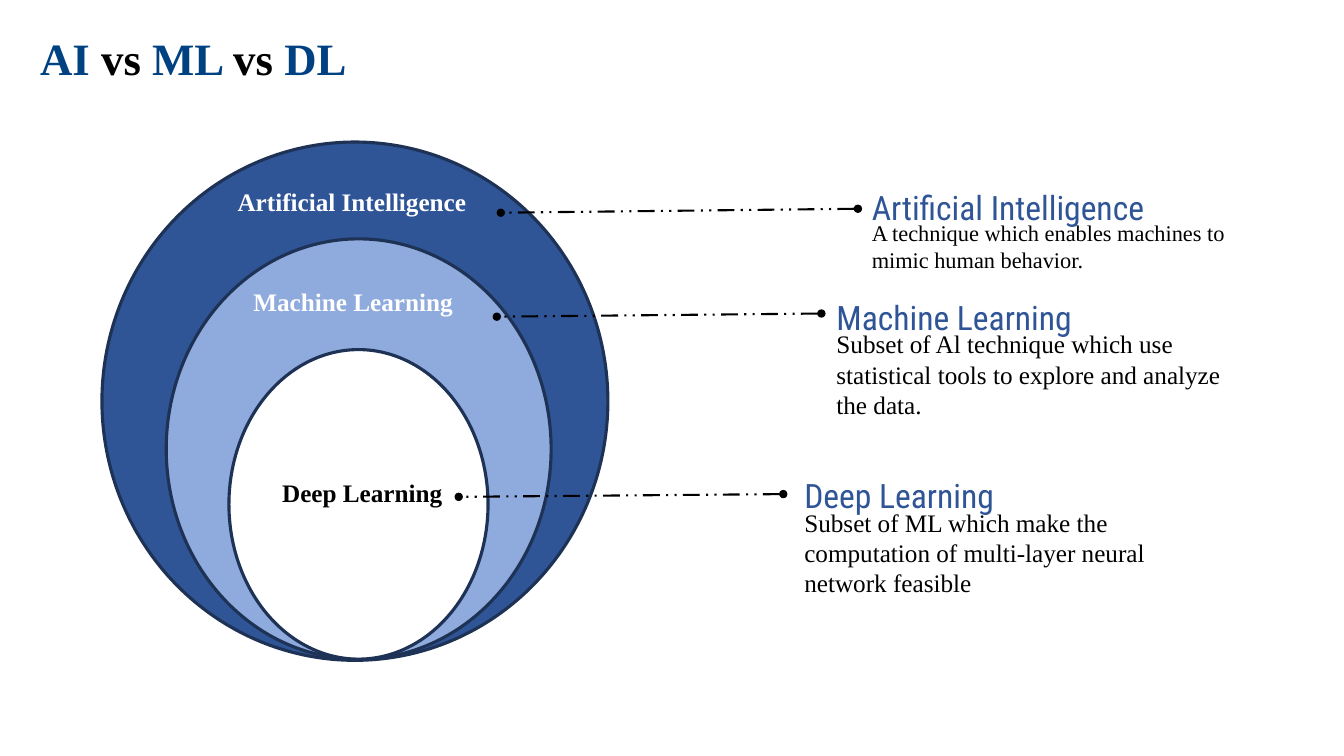
import pptx
import pptx.util
import pptx.dml.color
import pptx.enum.dml
import pptx.enum.shapes
import pptx.enum.text
from lxml import etree
from pptx.oxml.ns import qn

Cm, Pt = pptx.util.Cm, pptx.util.Pt
RGBColor = pptx.dml.color.RGBColor
ALIGN = pptx.enum.text.PP_ALIGN
ANCHOR = pptx.enum.text.MSO_ANCHOR

TITLE_BLUE = RGBColor(0x00, 0x41, 0x82)
DEEP_BLUE = RGBColor(0x2F, 0x55, 0x97)
LIGHT_BLUE = RGBColor(0x8F, 0xAA, 0xDC)
OUTLINE = RGBColor(0x1E, 0x32, 0x56)
BLACK = RGBColor(0x00, 0x00, 0x00)
WHITE = RGBColor(0xFF, 0xFF, 0xFF)

SERIF = "Times New Roman"
CONDENSED = "Roboto Condensed"


def apply(target, formats):
    for attribute, value in formats.items():
        setattr(target, attribute, value)


class DiagramSlide:
    outline = {"width": Pt(2.25)}
    leader = {"width": Pt(1.5), "dash_style": pptx.enum.dml.MSO_LINE.DASH_DOT_DOT}
    label_font = {"name": SERIF, "size": Pt(18), "bold": True}
    heading_font = {"name": CONDENSED, "size": Pt(24)}
    heading_frame = {"vertical_anchor": ANCHOR.MIDDLE,
                     "margin_top": Cm(0.25), "margin_bottom": Cm(0.25)}

    def __init__(self, slide):
        self.shapes = slide.shapes

    def text(self, box, runs, font, align=ALIGN.LEFT, frame_format=None):
        frame = self.shapes.add_textbox(*map(Cm, box)).text_frame
        apply(frame, {"word_wrap": True, **(frame_format or {})})
        paragraph = frame.paragraphs[0]
        paragraph.alignment = align
        for wording, color in runs:
            run = paragraph.add_run()
            run.text = wording
            apply(run.font, font)
            run.font.color.rgb = color

    def ring(self, box, color):
        oval = self.shapes.add_shape(
            pptx.enum.shapes.MSO_SHAPE.OVAL, *map(Cm, box))
        oval.shadow.inherit = False
        oval.fill.solid()
        oval.fill.fore_color.rgb = color
        oval.line.color.rgb = OUTLINE
        apply(oval.line, self.outline)

    def dotted_leader(self, ends):
        leader = self.shapes.add_connector(
            pptx.enum.shapes.MSO_CONNECTOR.STRAIGHT, *map(Cm, ends))
        leader.line.color.rgb = BLACK
        apply(leader.line, self.leader)
        line_xml = leader.line._get_or_add_ln()
        for end in ("a:headEnd", "a:tailEnd"):
            etree.SubElement(line_xml, qn(end), type="oval")
        etree.SubElement(leader._element.spPr, qn("a:effectLst"))

    def label(self, left, top, wording, color):
        self.text((left, top, 7.34, 1.02), [(wording, color)],
                  self.label_font, ALIGN.CENTER)

    def definition(self, left, top, heading, meaning, size, height):
        self.text((left, top + 0.84, 10.8, height), [(meaning, BLACK)],
                  {"name": SERIF, "size": Pt(size)})
        self.text((left, top, 7.44, 1.32), [(heading, DEEP_BLUE)],
                  self.heading_font, frame_format=self.heading_frame)


FIELDS = [
    {"ring": ((2.57, 3.58, 12.75, 13.06), DEEP_BLUE),
     "label": (5.28, 4.57, "Artificial Intelligence ", WHITE),
     "leader": (21.62, 5.26, 12.62, 5.36),
     "definition": (21.72, 4.55, "Artificial Intelligence",
                    "A technique which enables machines to mimic human behavior.",
                    16, 1.63)},
    {"ring": ((4.19, 6.02, 9.7, 10.59), LIGHT_BLUE),
     "label": (5.23, 7.09, "Machine Learning", WHITE),
     "leader": (20.7, 7.9, 12.52, 7.98),
     "definition": (20.83, 7.32, "Machine Learning",
                    "Subset of Al technique which use statistical tools "
                    "to explore and analyze the data.", 18, 2.57)},
    {"ring": ((5.77, 8.81, 6.53, 7.8), WHITE),
     "label": (5.46, 11.91, "Deep Learning", BLACK),
     "leader": (19.74, 12.45, 11.56, 12.52),
     "definition": (20.02, 11.81, "Deep Learning",
                    "Subset of ML which make the computation of "
                    "multi-layer neural network feasible", 18, 2.57)},
]


def main():
    presentation = pptx.Presentation()
    apply(presentation, {"slide_width": Cm(33.87), "slide_height": Cm(19.05)})
    diagram = DiagramSlide(presentation.slides.add_slide(presentation.slide_layouts[6]))

    title = [("AI ", TITLE_BLUE), ("vs", BLACK), (" ML ", TITLE_BLUE),
             ("vs", BLACK), (" DL", TITLE_BLUE)]
    diagram.text((0.76, 0.66, 8.86, 1.63), title,
                 {"name": SERIF, "size": Pt(32), "bold": True})

    for field in FIELDS:
        diagram.ring(*field["ring"])
        diagram.label(*field["label"])
        diagram.dotted_leader(field["leader"])
        diagram.definition(*field["definition"])

    presentation.save("out.pptx")


if __name__ == "__main__":
    main()
